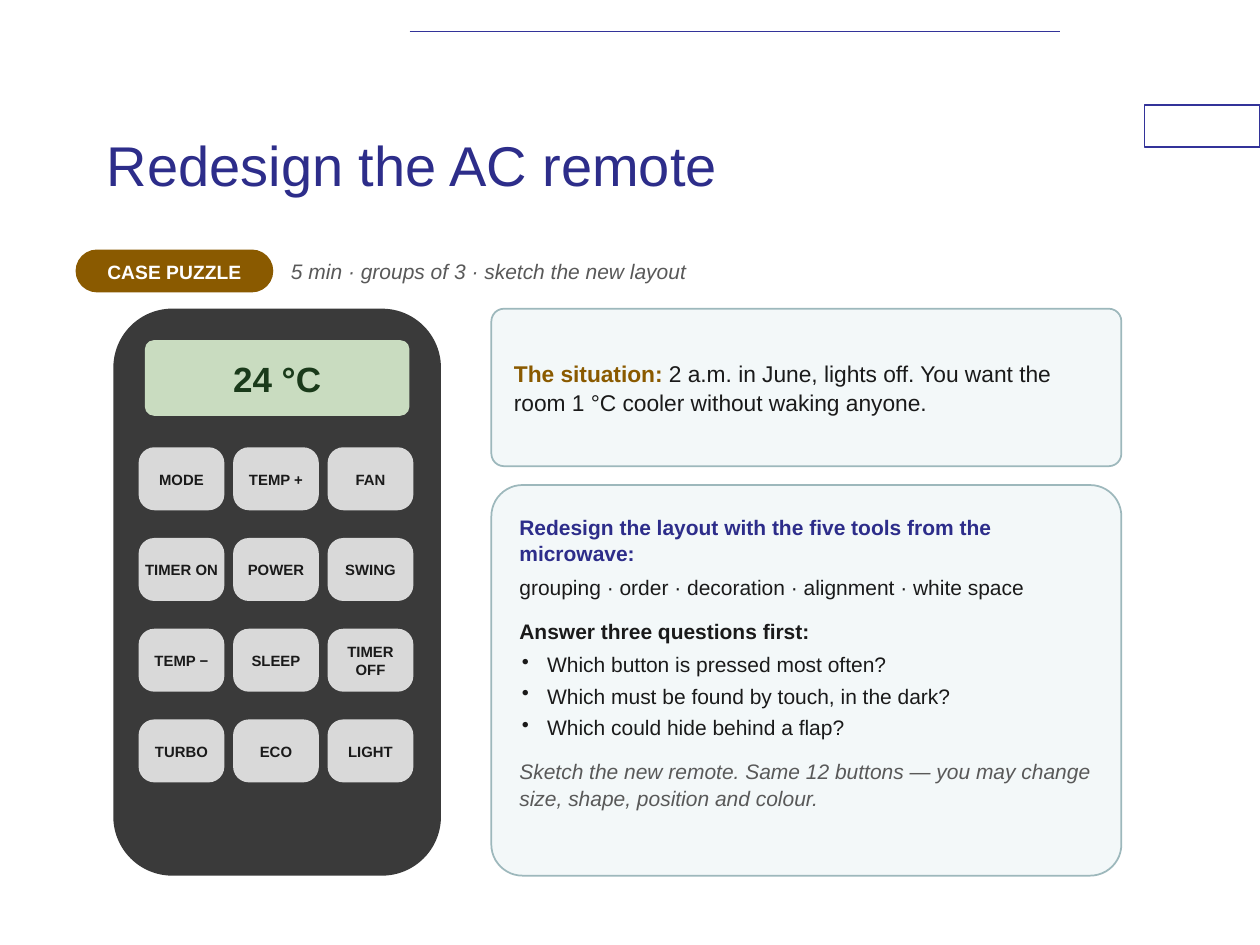
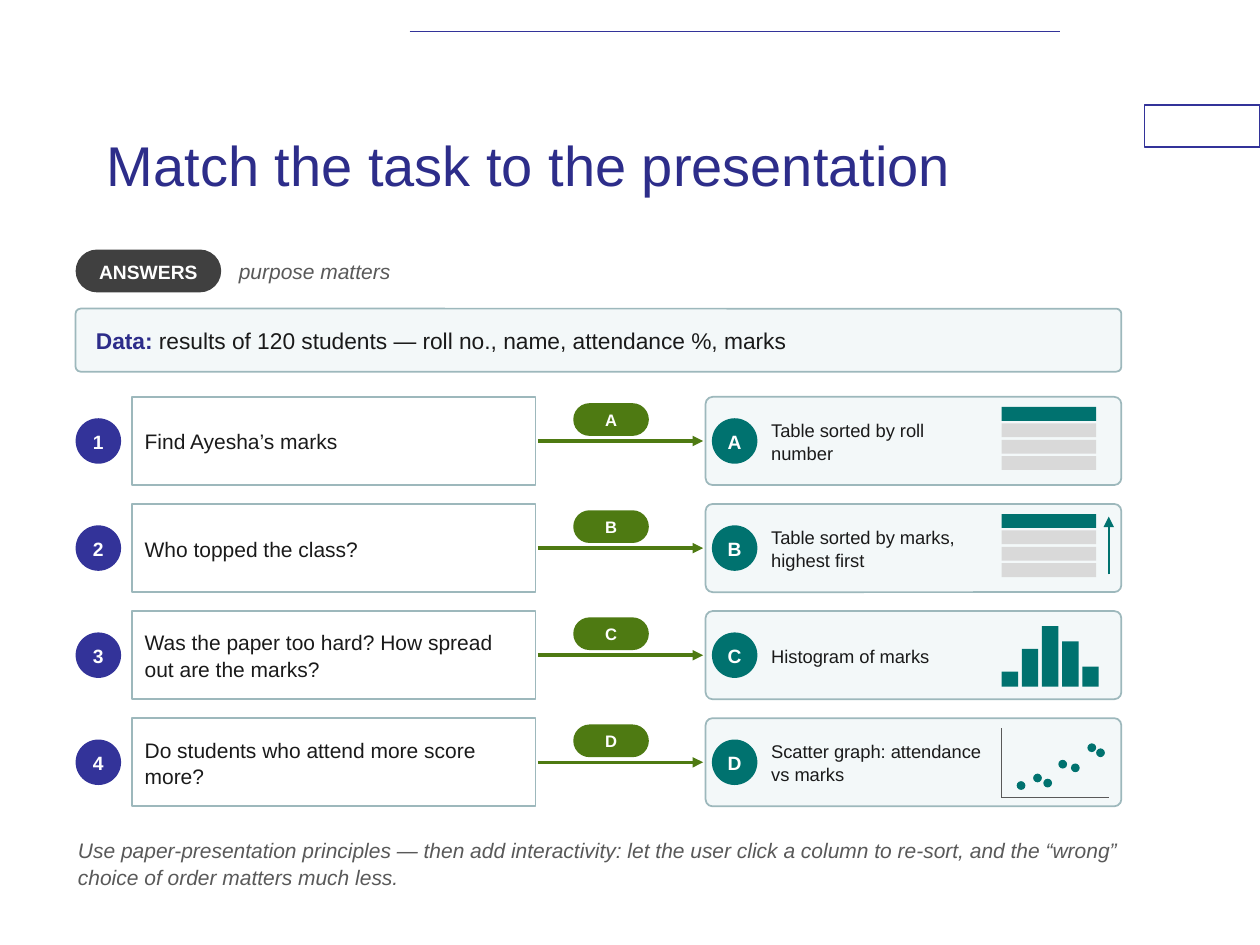
from lxml import etree
from pptx import Presentation
from pptx.dml.color import RGBColor
from pptx.enum.shapes import MSO_CONNECTOR, MSO_SHAPE
from pptx.enum.text import MSO_ANCHOR, PP_ALIGN
from pptx.oxml.ns import qn
from pptx.util import Pt

RECT, ROUND, OVAL = MSO_SHAPE.RECTANGLE, MSO_SHAPE.ROUNDED_RECTANGLE, MSO_SHAPE.OVAL
STRAIGHT = MSO_CONNECTOR.STRAIGHT
TOP, MIDDLE = MSO_ANCHOR.TOP, MSO_ANCHOR.MIDDLE
LEFT, CENTER = PP_ALIGN.LEFT, PP_ALIGN.CENTER

FONT = "Arial"
NAVY, INDIGO, TEAL, GREEN, BROWN = "2D2D8A", "333399", "00726F", "4E7A12", "8A5A00"
INK, GREY, CHARCOAL, DARK, SILVER = "1A1A1A", "595959", "3A3A3A", "404040", "D9D9D9"
WHITE, PALE, EDGE = "FFFFFF", "F3F8F9", "9DB8BC"
LCD, LCD_INK = "C9DCC0", "1A3A1A"

BODY = {"size": Pt(12), "color": INK}
LEAD = {"size": Pt(13), "color": INK}
SMALL = {"size": Pt(10.5), "color": INK}
NOTE = {"size": Pt(12), "color": GREY, "italic": True}
BADGE = {"size": Pt(11), "color": WHITE, "bold": True}
PILL = {**BADGE, "size": Pt(9.5)}
KEY = {"size": Pt(8.5), "color": INK, "bold": True}
CARD = {"fill": PALE, "line": EDGE, "adj": 0.08, "inset": 10.8}

LEFT_EDGE, CONTENT_WIDTH = 43.2, 597.6


def box(s, kind, at, paras=(), fill=None, line=None, adj=None,
        inset=0, anchor=MIDDLE, align=LEFT):
    """Add a shape, or a text box if kind is None.

    Each paragraph is (runs, space before, bulleted); a run is (text, format).
    """
    at = [Pt(v) for v in at]
    if kind is None:
        sp = s.shapes.add_textbox(*at)
    else:
        sp = s.shapes.add_shape(kind, *at)
        sp.shadow.inherit = False
        sp.fill.solid()
        sp.fill.fore_color.rgb = RGBColor.from_string(fill)
        if line:
            sp.line.color.rgb = RGBColor.from_string(line)
            sp.line.width = Pt(1)
        else:
            sp.line.fill.background()
    if adj is not None:
        sp.adjustments[0] = adj
    tf = sp.text_frame
    tf.word_wrap = True
    tf.vertical_anchor = anchor
    for side in ("left", "top", "right", "bottom"):
        setattr(tf, f"margin_{side}", Pt(inset))
    for i, (runs, before, bulleted) in enumerate(paras):
        p = tf.add_paragraph() if i else tf.paragraphs[0]
        p.alignment = align
        p.line_spacing = 1.05
        p.space_before = Pt(before)
        if bulleted:
            pPr = p._p.get_or_add_pPr()
            pPr.set("marL", str(Pt(15.84)))
            pPr.set("indent", str(Pt(-14.4)))
            etree.SubElement(pPr, qn("a:buChar")).set("char", "•")
        for text, fmt in runs:
            r = p.add_run()
            r.text = text
            r.font.name = FONT
            for name, value in fmt.items():
                if name == "color":
                    r.font.color.rgb = RGBColor.from_string(value)
                else:
                    setattr(r.font, name, value)
    return sp


def connect(s, x1, y1, x2, y2, color, width, arrow=False):
    cx = s.shapes.add_connector(STRAIGHT, Pt(x1), Pt(y1), Pt(x2), Pt(y2))
    cx.line.color.rgb = RGBColor.from_string(color)
    cx.line.width = Pt(width)
    if arrow:
        etree.SubElement(cx.line._get_or_add_ln(), qn("a:tailEnd")).set("type", "triangle")
    etree.SubElement(cx._element.spPr, qn("a:effectLst"))


prs = Presentation()
prs.slide_width, prs.slide_height = Pt(720), Pt(540)

# Shared header: frame, rule, title, tag and its hint
headers = [
    ("Redesign the AC remote", "CASE PUZZLE", BROWN, 113,
     "5 min · groups of 3 · sketch the new layout"),
    ("Match the task to the presentation", "ANSWERS", DARK, 83.2, "purpose matters"),
]
for title, tag, tag_color, tag_width, hint in headers:
    s = prs.slides.add_slide(prs.slide_layouts[6])
    frame = box(s, RECT, (653.8, 60, 66.2, 24), fill=WHITE, line=INDIGO)
    frame.line.width = Pt(0.75)
    connect(s, 234, 18, 606, 18, INDIGO, 1)
    box(s, None, (54, 48, 540, 90), [([(title, {"size": Pt(32), "color": NAVY})], 0, False)],
        inset=7.2)
    box(s, ROUND, (LEFT_EDGE, 142.6, tag_width, 24.5), [([(tag, BADGE)], 0, False)],
        fill=tag_color, adj=0.5, inset=2, align=CENTER)
    hint_left = LEFT_EDGE + tag_width + 8.7
    box(s, None, (hint_left, 142.6, LEFT_EDGE + CONTENT_WIDTH - hint_left, 24.5),
        [([(hint, NOTE)], 0, False)], inset=1.4)
remote_slide, match_slide = prs.slides

# Remote control
s = remote_slide
box(s, ROUND, (64.8, 176.4, 187.2, 324), fill=CHARCOAL, adj=0.18)
box(s, ROUND, (82.8, 194.4, 151.2, 43.2),
    [([("24 °C", {"size": Pt(20), "color": LCD_INK, "bold": True})], 0, False)],
    fill=LCD, adj=0.12, inset=2.9, align=CENTER)
buttons = ["MODE", "TEMP +", "FAN", "TIMER ON", "POWER", "SWING",
           "TEMP −", "SLEEP", "TIMER OFF", "TURBO", "ECO", "LIGHT"]
for i, label in enumerate(buttons):
    row, col = divmod(i, 3)
    box(s, ROUND, (79.2 + 54 * col, 255.6 + 51.84 * row, 49, 36), [([(label, KEY)], 0, False)],
        fill=SILVER, adj=0.25, inset=0.7, align=CENTER)

# Situation and assignment
box(s, ROUND, (280.8, 176.4, 360, 90), [([
    ("The situation: ", {**LEAD, "color": BROWN, "bold": True}),
    ("2 a.m. in June, lights off. You want the room 1 °C cooler without waking anyone.", LEAD),
], 0, False)], **CARD)
assignment = [
    ("Redesign the layout with the five tools from the microwave:",
     {**BODY, "color": NAVY, "bold": True}, 0, False),
    ("grouping · order · decoration · alignment · white space", BODY, 4, False),
    ("Answer three questions first:", {**BODY, "bold": True}, 10, False),
    ("Which button is pressed most often?", BODY, 4, True),
    ("Which must be found by touch, in the dark?", BODY, 3, True),
    ("Which could hide behind a flap?", BODY, 3, True),
    ("Sketch the new remote. Same 12 buttons — you may change size, shape, position and colour.",
     NOTE, 10, False),
]
box(s, ROUND, (280.8, 277.2, 360, 223.2),
    [([(text, fmt)], before, bulleted) for text, fmt, before, bulleted in assignment],
    anchor=TOP, **CARD)

# Data banner
s = match_slide
box(s, ROUND, (LEFT_EDGE, 176.4, CONTENT_WIDTH, 36), [([
    ("Data: ", {**LEAD, "color": NAVY, "bold": True}),
    ("results of 120 students — roll no., name, attendance %, marks", LEAD),
], 0, False)], **CARD)

# Tasks matched to presentations
matches = [
    ("Find Ayesha’s marks", "A", "Table sorted by roll number"),
    ("Who topped the class?", "B", "Table sorted by marks, highest first"),
    ("Was the paper too hard? How spread out are the marks?", "C", "Histogram of marks"),
    ("Do students who attend more score more?", "D", "Scatter graph: attendance vs marks"),
]
bar_heights = [8.6, 21.6, 34.6, 25.9, 11.5]
dots = [(8.6, 36), (18, 31.7), (23.8, 34.6), (32.4, 23.8), (39.6, 25.9), (49, 14.4), (54, 17.3)]
icon_left = 572.4
for i, (task, letter, presentation) in enumerate(matches):
    top = 226.8 + 61.2 * i
    box(s, RECT, (75.6, top, 230.4, 50.4), [([(task, BODY)], 0, False)],
        fill=WHITE, line=EDGE, inset=7.2)
    box(s, ROUND, (403.2, top, 237.6, 50.4), **CARD)
    for left, label, color in [(LEFT_EDGE, str(i + 1), INDIGO), (406.8, letter, TEAL)]:
        box(s, OVAL, (left, top + 12.2, 26, 26), [([(label, BADGE)], 0, False)],
            fill=color, align=CENTER)
    box(s, None, (437.8, top, 126, 50.4), [([(presentation, SMALL)], 0, False)], inset=2.9)
    connect(s, 307.4, top + 25.2, 401.8, top + 25.2, GREEN, 2, arrow=True)
    box(s, ROUND, (327.6, top + 3.6, 43.2, 18.7), [([(letter, PILL)], 0, False)],
        fill=GREEN, adj=0.5, inset=2, align=CENTER)

    if letter in "AB":
        for row in range(4):
            box(s, RECT, (icon_left, top + 5.76 + 9.36 * row, 54, 7.9),
                fill=SILVER if row else TEAL)
    if letter == "B":
        connect(s, 633.6, top + 40.3, 633.6, top + 7.2, TEAL, 1.25, arrow=True)
    if letter == "C":
        for col, height in enumerate(bar_heights):
            box(s, RECT, (icon_left + 11.52 * col, top + 43.2 - height, 9.4, height), fill=TEAL)
    if letter == "D":
        axis = top + 45.4
        connect(s, icon_left, axis, icon_left + 61.2, axis, GREY, 0.75)
        connect(s, icon_left, top + 5.8, icon_left, axis, GREY, 0.75)
        for x, y in dots:
            box(s, OVAL, (icon_left + x, top + y, 5, 5), fill=TEAL)

box(s, None, (LEFT_EDGE, 476.6, CONTENT_WIDTH, 36), [([(
    "Use paper-presentation principles — then add interactivity: let the user click a column "
    "to re-sort, and the “wrong” choice of order matters much less.", NOTE)], 0, False)],
    inset=1.4, anchor=TOP)

prs.save("out.pptx")
